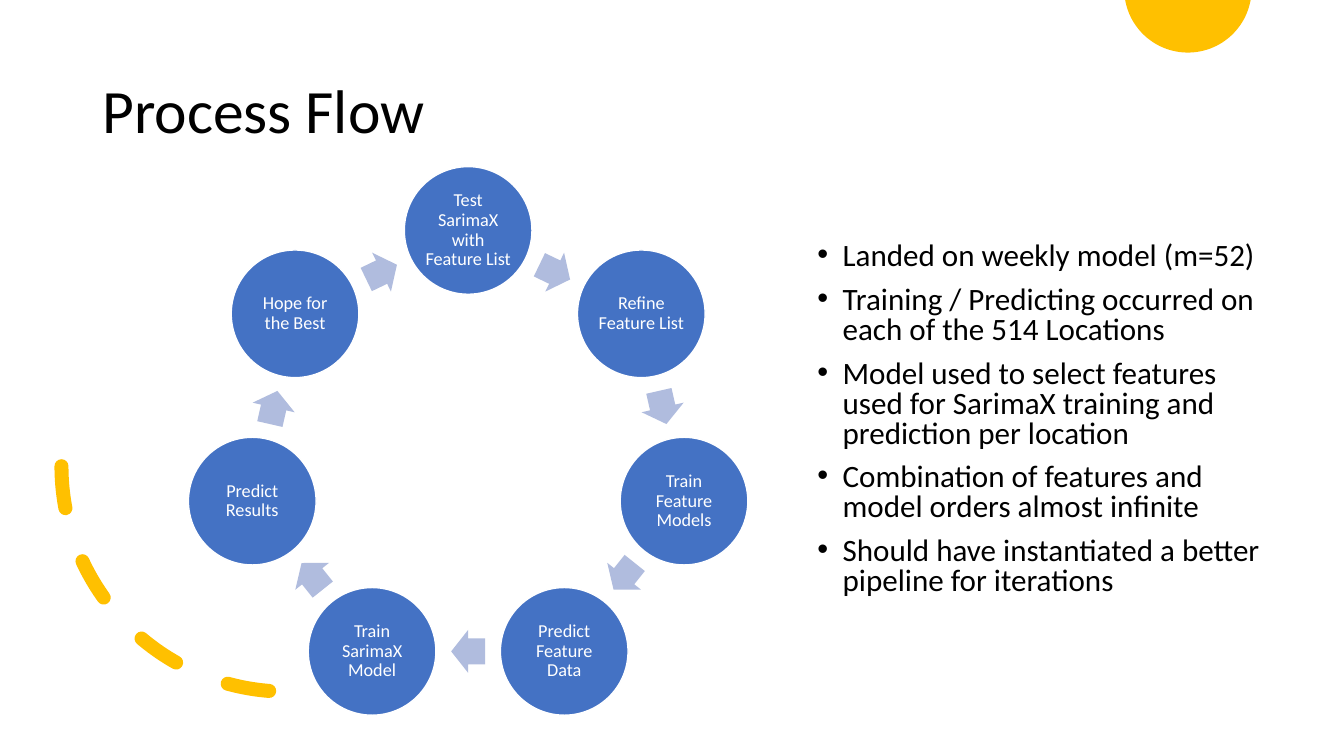
from dataclasses import dataclass
from math import acos, cos, pi, sin

from lxml.etree import SubElement
from pptx import Presentation
from pptx.dml.color import RGBColor
from pptx.enum.dml import MSO_LINE_DASH_STYLE as Dash
from pptx.enum.shapes import MSO_SHAPE as Preset
from pptx.enum.text import MSO_ANCHOR as Anchor, PP_ALIGN as Align
from pptx.oxml.ns import qn
from pptx.util import Pt


@dataclass(frozen=True)
class Theme:
    accent: RGBColor = RGBColor(0xFF, 0xC0, 0x00)
    step: RGBColor = RGBColor(0x44, 0x72, 0xC4)
    arrow: RGBColor = RGBColor(0xB0, 0xBC, 0xDE)
    light: RGBColor = RGBColor(0xFF, 0xFF, 0xFF)
    ink: RGBColor = RGBColor(0, 0, 0)
    font: str = "Calibri"
    title_size: float = 44
    point_size: float = 22.2
    step_size: float = 13


THEME = Theme()

STEPS = [
    "Test SarimaX with Feature List",
    "Refine Feature List",
    "Train Feature Models",
    "Predict Feature Data",
    "Train SarimaX Model",
    "Predict Results",
    "Hope for the Best",
]

POINTS = [
    "Landed on weekly model (m=52)",
    "Training / Predicting occurred on each of the 514 Locations",
    "Model used to select features used for SarimaX training and prediction per location",
    "Combination of features and model orders almost infinite",
    "Should have instantiated a better pipeline for iterations",
]


def apply(target, formats):
    for name, value in formats.items():
        setattr(target, name, value)


def write(paragraph, text, size, color, **formats):
    paragraph.text = text
    apply(paragraph, {"line_spacing": 0.9, **formats})
    font = paragraph.runs[0].font
    apply(font, {"name": THEME.font, "size": Pt(size)})
    font.color.rgb = color


def paint(shape, fill, line=None, width=1):
    shape.shadow.inherit = False
    if fill is None:
        shape.fill.background()
    else:
        shape.fill.solid()
        shape.fill.fore_color.rgb = fill
    if line is None:
        shape.line.fill.background()
    else:
        shape.line.color.rgb = line
        shape.line.width = Pt(width)


def add_preset(slide, preset, left, top, width, height):
    return slide.shapes.add_shape(preset, Pt(left), Pt(top), Pt(width), Pt(height))


def add_text_frame(slide, box, **formats):
    frame = slide.shapes.add_textbox(*map(Pt, box)).text_frame
    apply(frame, {"word_wrap": True, **formats})
    return frame


def add_half_sun(slide, box):
    left, top, width, depth = box
    radius = (width ** 2 / 4 + depth ** 2) / (2 * depth)
    center_x, center_y = left + width / 2, top + depth - radius
    reach = acos((radius - depth) / radius)
    count = 72
    angles = [reach - 2 * reach * index / count for index in range(count + 1)]
    rim = [
        (Pt(center_x + radius * sin(angle)), Pt(center_y + radius * cos(angle)))
        for angle in angles
    ]
    builder = slide.shapes.build_freeform(*rim[0])
    builder.add_line_segments(rim[1:], close=True)
    paint(builder.convert_to_shape(), THEME.accent)


def add_dashed_arc(slide, box):
    arc = add_preset(slide, Preset.ARC, *box)
    paint(arc, None, THEME.accent, 10)
    arc.line.dash_style = Dash.DASH
    arc.rotation = 90
    properties = arc.element.spPr
    properties.find(qn("a:xfrm")).set("flipV", "1")
    properties.find(qn("a:ln")).set("cap", "rnd")


def add_title(slide, box):
    frame = add_text_frame(slide, box, vertical_anchor=Anchor.MIDDLE)
    write(frame.paragraphs[0], "Process Flow", THEME.title_size, THEME.ink)


def add_step(slide, center, diameter, label):
    x, y = center
    step = add_preset(
        slide, Preset.OVAL, x - diameter / 2, y - diameter / 2, diameter, diameter
    )
    paint(step, THEME.step, THEME.light)
    margins = {f"margin_{side}": Pt(1.3) for side in ("left", "top", "right", "bottom")}
    apply(
        step.text_frame,
        {"word_wrap": True, "vertical_anchor": Anchor.MIDDLE, **margins},
    )
    write(
        step.text_frame.paragraphs[0], label, THEME.step_size, THEME.light,
        alignment=Align.CENTER,
    )


def add_step_arrow(slide, center, rotation):
    x, y = center
    width, height = 24.3, 30.8
    arrow = add_preset(
        slide, Preset.RIGHT_ARROW, x - width / 2, y - height / 2, width, height
    )
    arrow.adjustments[0] = 0.6
    arrow.rotation = rotation
    paint(arrow, THEME.arrow)


def add_cycle(slide, box):
    left, top, width, _ = box
    diameter = 91.2
    turn = 2 * pi / len(STEPS)
    widest = max(sin(index * turn) for index in range(len(STEPS)))
    radius = (width - diameter) / 2 / widest
    center_x, center_y = left + width / 2, top + diameter / 2 + radius

    def spot(index, distance):
        angle = index * turn
        return center_x + distance * sin(angle), center_y - distance * cos(angle)

    for index, label in enumerate(STEPS):
        add_step(slide, spot(index, radius), diameter, label)
        middle = index + 0.5
        add_step_arrow(
            slide, spot(middle, radius * cos(turn / 2)), middle * 360 / len(STEPS)
        )


def add_points(slide, box):
    frame = add_text_frame(slide, box)
    for index, point in enumerate(POINTS):
        paragraph = frame.add_paragraph() if index else frame.paragraphs[0]
        write(
            paragraph, point, THEME.point_size, THEME.ink,
            line_spacing=0.8, space_before=Pt(10),
        )
        properties = paragraph._p.get_or_add_pPr()
        properties.set("marL", str(Pt(18)))
        properties.set("indent", str(-Pt(18)))
        SubElement(properties, qn("a:buFont")).set("typeface", "Arial")
        SubElement(properties, qn("a:buChar")).set("char", "•")


def main():
    deck = Presentation()
    apply(deck, {"slide_width": Pt(960), "slide_height": Pt(540)})
    slide = deck.slides.add_slide(deck.slide_layouts[6])
    add_half_sun(slide, (803.7, 0, 89.6, 37.6))
    add_title(slide, (66, 28.75, 828, 104.4))
    add_dashed_arc(slide, (43.9, 172, 322, 322))
    add_cycle(slide, (134.6, 119, 399.6, 392))
    add_points(slide, (576.8, 170, 334, 272))
    deck.save("out.pptx")


if __name__ == "__main__":
    main()
